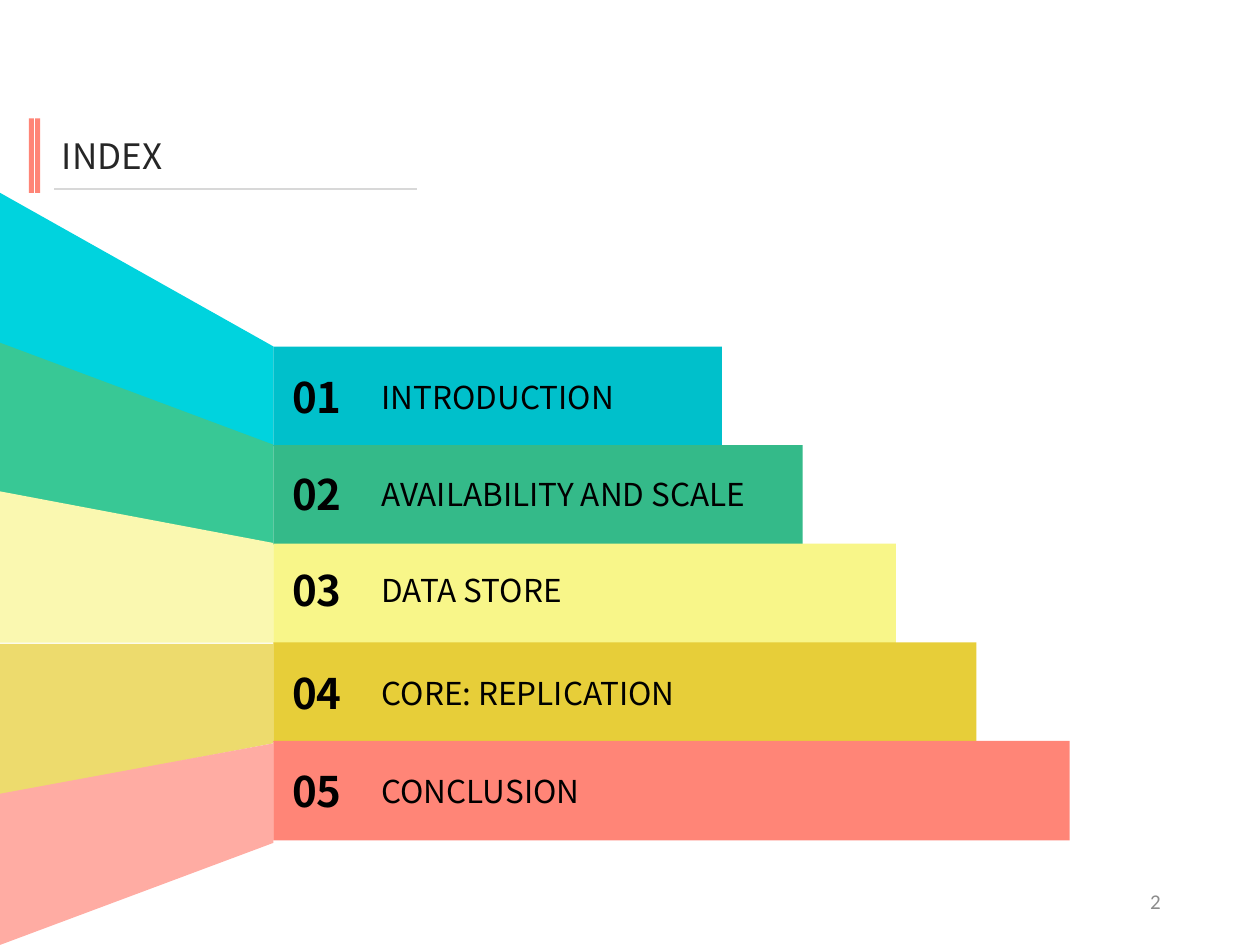
from pptx import Presentation
from pptx.dml.color import RGBColor
from pptx.enum import shapes, text
from pptx.oxml.ns import qn
from pptx.util import Inches, Pt
from lxml import etree

THEME = {
    "font": "Noto Sans CJK SC", "number_font": "Calibri",
    "title": 20, "label": 18, "index": 24, "page": 12,
    "text": "000000", "title_text": "262626", "muted": "8C8C8C",
    "rule": "D8D8D8", "accent": "FF8577",
}

# label, bar width, label top, label width, wing top at slide edge,
# wing top at bar, bar colour, wing colour
ROWS = [
    ("INTRODUCTION", 3.56, 2.95, 2.39, 1.53, 2.75, "00C0CB", "00D3DE"),
    ("AVAILABILITY AND SCALE", 4.20, 3.72, 3.67, 2.72, 3.53, "34BA89", "38C895"),
    ("DATA STORE", 4.94, 4.48, 3.97, 3.90, 4.31, "F8F689", "FAF8B0"),
    ("CORE: REPLICATION", 5.58, 5.30, 4.61, 5.11, 5.11, "E7CE39", "EDDB6D"),
    ("CONCLUSION", 6.32, 6.08, 5.24, 6.30, 5.90, "FF8577", "FFACA3"),
]
BAR_LEFT, BAR_HEIGHT, WING_HEIGHT = 2.17, 0.79, 1.20
FIRST_BAR, LAST_BAR = 2.75, 5.88
BAR_STEP = (LAST_BAR - FIRST_BAR) / (len(ROWS) - 1)


def box(left, top, width, height):
    return [Inches(v) for v in (left, top, width, height)]


def paint(sp, color):
    sp.shadow.inherit = False
    sp.fill.solid()
    sp.fill.fore_color.rgb = RGBColor.from_string(color)
    sp.line.fill.background()


def add_rect(slide, color, *place):
    sp = slide.shapes.add_shape(shapes.MSO_SHAPE.RECTANGLE, *box(*place))
    paint(sp, color)


def add_wing(slide, color, edge_top, bar_top):
    points = [(0, edge_top), (0, edge_top + WING_HEIGHT),
              (BAR_LEFT, bar_top + BAR_HEIGHT), (BAR_LEFT, bar_top)]
    points = [(Inches(x), Inches(y)) for x, y in points]
    builder = slide.shapes.build_freeform(*points[0])
    builder.add_line_segments(points[1:], close=True)
    paint(builder.convert_to_shape(), color)


def write(sp, words, size, color=THEME["text"], font=THEME["font"], bold=False,
          align=text.PP_ALIGN.LEFT, anchor=text.MSO_ANCHOR.TOP):
    tf = sp.text_frame
    tf.word_wrap = True
    tf.vertical_anchor = anchor
    p = tf.paragraphs[0]
    p.alignment = align
    r = p.add_run()
    r.text = words
    r.font.name, r.font.size, r.font.bold = font, Pt(size), bold
    r.font.color.rgb = RGBColor.from_string(color)


def add_text(slide, place, words, size, **style):
    write(slide.shapes.add_textbox(*box(*place)), words, size, **style)


def add_rule(slide, left, right, y):
    line = slide.shapes.add_connector(
        shapes.MSO_CONNECTOR.STRAIGHT, *box(left, y, right, y))
    line.line.color.rgb = RGBColor.from_string(THEME["rule"])
    line.line.width = Pt(0.75)
    etree.SubElement(line._element.spPr, qn("a:effectLst"))


def main():
    prs = Presentation()
    prs.slide_width, prs.slide_height = Inches(10), Inches(7.5)
    slide = prs.slides.add_slide(prs.slide_layouts[5])

    title = slide.shapes.title
    title.left, title.top, title.width, title.height = box(0.39, 1.02, 3.17, 0.44)
    write(title, "INDEX", THEME["title"], color=THEME["title_text"])
    for left in (0.23, 0.28):
        add_rect(slide, THEME["accent"], left, 0.94, 0.04, 0.59)
    add_rule(slide, 0.43, 3.31, 1.5)

    for row in ROWS:
        add_wing(slide, row[7], row[4], row[5])
    for i, (label, width, top, label_width, *_, bar, _wing) in enumerate(ROWS):
        add_rect(slide, bar, BAR_LEFT, FIRST_BAR + i * BAR_STEP, width, BAR_HEIGHT)
        add_text(slide, (2.93, top, label_width, 0.4), label, THEME["label"])
        add_text(slide, (2.09, top - 0.05, 0.85, 0.5), f"{i + 1:02}", THEME["index"],
                 bold=True, align=text.PP_ALIGN.CENTER)

    add_text(slide, (7.06, 6.95, 2.25, 0.4), "2", THEME["page"],
             color=THEME["muted"], font=THEME["number_font"],
             align=text.PP_ALIGN.RIGHT, anchor=text.MSO_ANCHOR.MIDDLE)
    prs.save("out.pptx")


if __name__ == "__main__":
    main()
